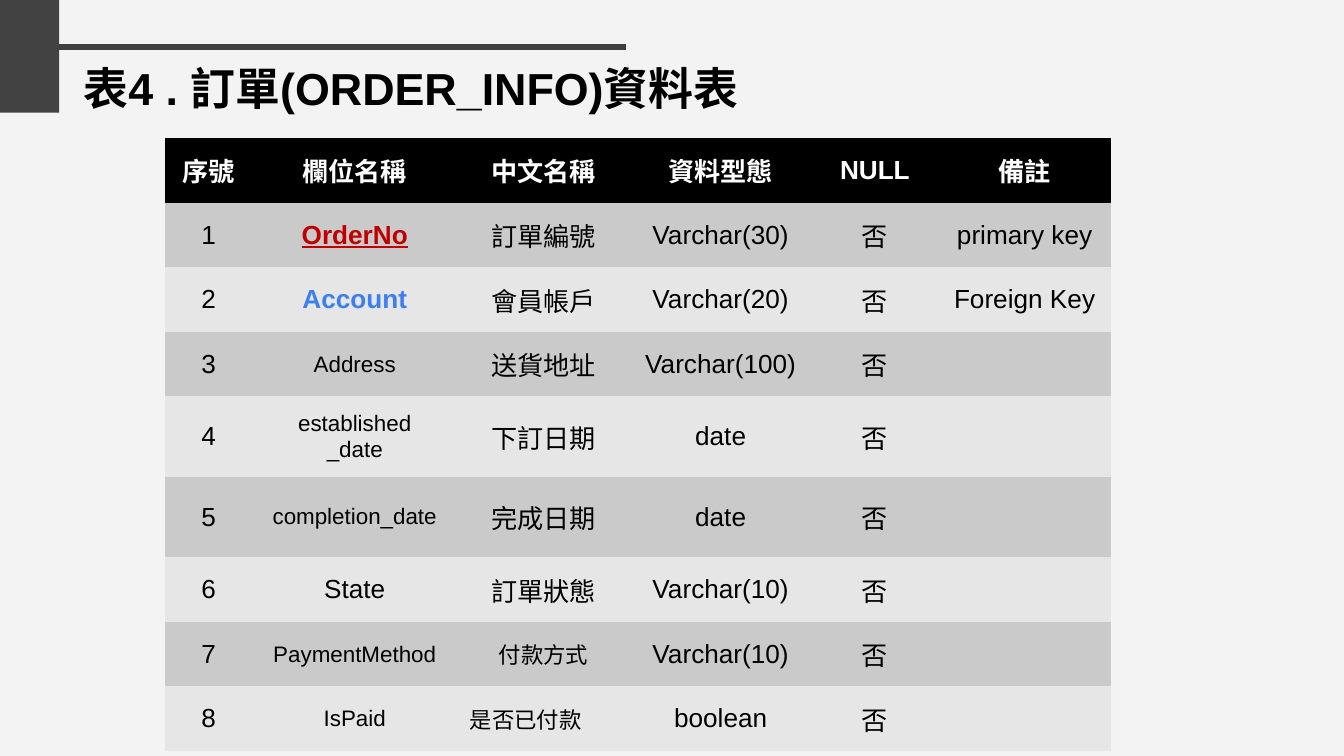
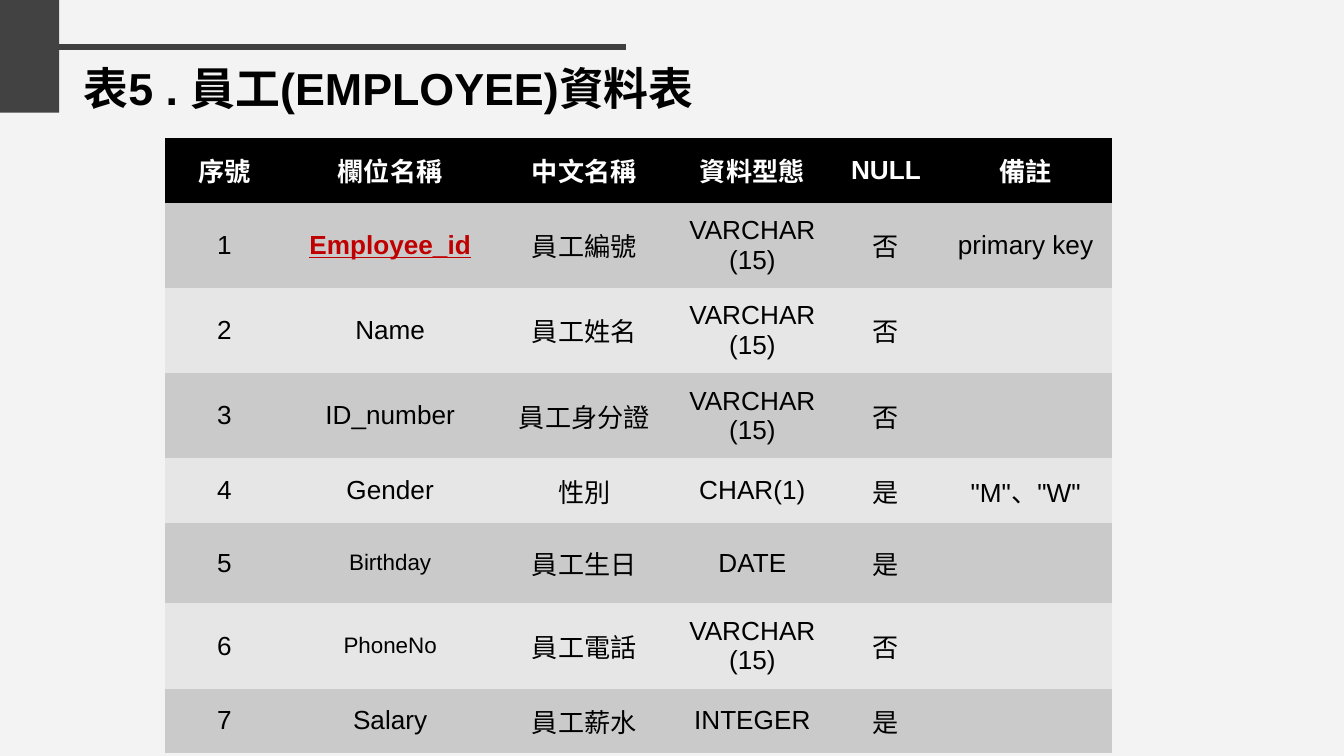
from collections import namedtuple
from dataclasses import dataclass

from lxml.etree import SubElement
from pptx import Presentation
from pptx.dml.color import RGBColor
from pptx.enum.shapes import MSO_CONNECTOR as Connector, MSO_SHAPE as Shape
from pptx.enum.text import MSO_ANCHOR as Anchor, PP_ALIGN as Align
from pptx.oxml.ns import qn
from pptx.util import Cm, Pt


@dataclass(frozen=True)
class Theme:
    """Colours, font, type sizes and measures in centimetres."""
    background: str = "F3F3F3"
    block: str = "424242"
    rule: str = "3F3F3F"
    ink: str = "000000"
    header_ink: str = "FFFFFF"
    primary_key: str = "C00000"
    foreign_key: str = "3B7FF2"
    bands: tuple = ("CACACA", "E6E6E6")
    font: str = "Arial"
    title_size: int = 24
    body_size: int = 14
    small_size: int = 12
    inset: float = 0.25
    row: float = 1.12
    tall_row: float = 1.52
    plain_table: str = "{2D5ABB26-0587-4C30-8999-92F81FD0307C}"


THEME = Theme()
Box = namedtuple("Box", "left top width height")
Entry = namedtuple("Entry", "text style")

PAGE = Box(0, 0, 25.4, 14.29)
BLOCK = Box(0, 0, 1.12, 2.13)
TITLE = Box(1.33, 0.89, 23.67, 1.6)
TABLE = Box(3.11, 2.61, 17.88, 10.8)
RULE_LENGTH = 10.72

HEADER = ("序號", "欄位名稱", "中文名稱", "資料型態", "NULL", "備註")


def primary(text):
    """Mark a primary key field."""
    return Entry(text, dict(color=THEME.primary_key, bold=True, underline=True))


def foreign(text):
    """Mark a foreign key field."""
    return Entry(text, dict(color=THEME.foreign_key, bold=True))


def small(text, **style):
    """Mark an entry set in the smaller size."""
    return Entry(text, dict(size=THEME.small_size, **style))


ORDER_ROWS = (
    (primary("OrderNo"), "訂單編號", "Varchar(30)", "否", "primary key"),
    (foreign("Account"), "會員帳戶", "Varchar(20)", "否", "Foreign Key"),
    (small("Address"), "送貨地址", "Varchar(100)", "否", ""),
    (small("established\n_date"), "下訂日期", "date", "否", ""),
    (small("completion_date"), "完成日期", "date", "否", ""),
    ("State", "訂單狀態", "Varchar(10)", "否", ""),
    (small("PaymentMethod"), small("付款方式"), "Varchar(10)", "否", ""),
    (small("IsPaid"), small("是否已付款", align=Align.LEFT), "boolean", "否", ""),
)

EMPLOYEE_ROWS = (
    (primary("Employee_id"), "員工編號", "VARCHAR(15)", "否", "primary key"),
    ("Name", "員工姓名", "VARCHAR(15)", "否", ""),
    ("ID_number", "員工身分證", "VARCHAR(15)", "否", ""),
    ("Gender", "性別", "CHAR(1)", "是", '"M"、"W"'),
    (small("Birthday"), "員工生日", "DATE", "是", ""),
    (small("PhoneNo"), "員工電話", "VARCHAR(15)", "否", ""),
    ("Salary", "員工薪水", "INTEGER", "是", ""),
)


def lengths(box):
    """Turn a box in centimetres into slide lengths."""
    return [Cm(value) for value in box]


def write(frame, text, size=THEME.body_size, color=THEME.ink, bold=False,
          underline=False, align=Align.CENTER):
    """Write text into a frame, one paragraph for each line."""
    for index, line in enumerate(text.split("\n")):
        para = frame.add_paragraph() if index else frame.paragraphs[0]
        para.alignment = align
        if not line:
            SubElement(para._p, qn("a:endParaRPr")).set("sz", str(size * 100))
            continue
        span = para.add_run()
        span.text = line
        span.font.name = THEME.font
        span.font.size = Pt(size)
        span.font.bold = bold
        span.font.underline = underline
        span.font.color.rgb = RGBColor.from_string(color)


def set_insets(holder):
    """Give a cell or text frame the shared insets."""
    for side in ("left", "top", "right", "bottom"):
        setattr(holder, "margin_" + side, Cm(THEME.inset))


def paint(fill, color):
    """Fill with one solid colour."""
    fill.solid()
    fill.fore_color.rgb = RGBColor.from_string(color)


def add_decoration(page, box):
    """Draw the corner block and the rule to its right."""
    block = page.shapes.add_shape(Shape.RECTANGLE, *lengths(box))
    block.shadow.inherit = False
    paint(block.fill, THEME.block)
    block.line.fill.background()
    start = box.left + box.width
    rule = page.shapes.add_connector(
        Connector.STRAIGHT,
        *lengths((start, TITLE.top, start + RULE_LENGTH, TITLE.top)))
    rule.line.color.rgb = RGBColor.from_string(THEME.rule)
    rule.line.width = Pt(3)
    SubElement(rule._element.spPr, qn("a:effectLst"))


def add_title(page, box, text):
    """Place the slide title."""
    frame = page.shapes.add_textbox(*lengths(box)).text_frame
    frame.word_wrap = True
    set_insets(frame)
    write(frame, text, size=THEME.title_size, bold=True, align=Align.LEFT)


def add_field_table(page, box, widths, rows, tall_rows):
    """Place a numbered table of fields under the shared header."""
    numbered = [(str(number), *row) for number, row in enumerate(rows, 1)]
    grid = [HEADER, *numbered]
    frame = page.shapes.add_table(len(grid), len(HEADER), *lengths(box))
    table = frame.table
    table._tbl.tblPr.find(qn("a:tableStyleId")).text = THEME.plain_table
    for column, width in zip(table.columns, widths):
        column.width = Cm(width)
    for index, values in enumerate(grid):
        tall = index in tall_rows
        table.rows[index].height = Cm(THEME.tall_row if tall else THEME.row)
        band = THEME.bands[(index - 1) % 2] if index else THEME.ink
        base = {} if index else dict(color=THEME.header_ink, bold=True)
        for cell, value in zip(table.rows[index].cells, values):
            entry = value if isinstance(value, Entry) else Entry(value, base)
            paint(cell.fill, band)
            set_insets(cell)
            cell.vertical_anchor = Anchor.MIDDLE
            write(cell.text_frame, entry.text, **entry.style)


def add_schema_page(deck, title, widths, rows, tall_rows):
    """Add one slide that describes a database table."""
    page = deck.slides.add_slide(deck.slide_layouts[6])
    paint(page.background.fill, THEME.background)
    add_field_table(page, TABLE, widths, rows, tall_rows)
    add_title(page, TITLE, title)
    add_decoration(page, BLOCK)


def main():
    """Build and save the deck."""
    deck = Presentation()
    deck.slide_width, deck.slide_height = Cm(PAGE.width), Cm(PAGE.height)
    add_schema_page(deck, "表4 . 訂單(ORDER_INFO)資料表",
                    (1.67, 3.85, 3.28, 3.42, 2.41, 3.25), ORDER_ROWS, (4, 5))
    add_schema_page(deck, "表5 . 員工(EMPLOYEE)資料表",
                    (2.26, 4.01, 3.33, 3.02, 2.03, 3.25), EMPLOYEE_ROWS, (5, 6))
    deck.save("out.pptx")


main()
